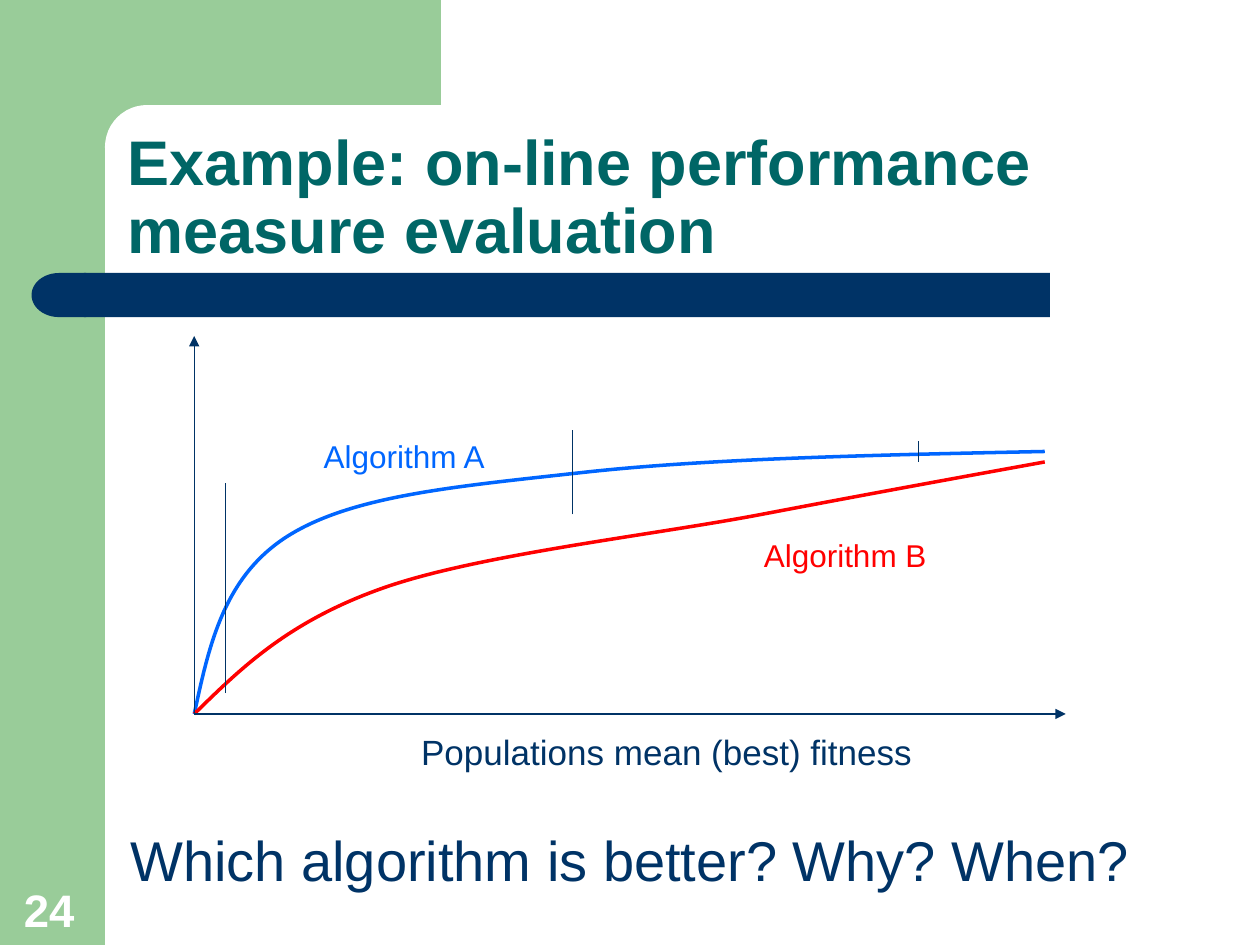
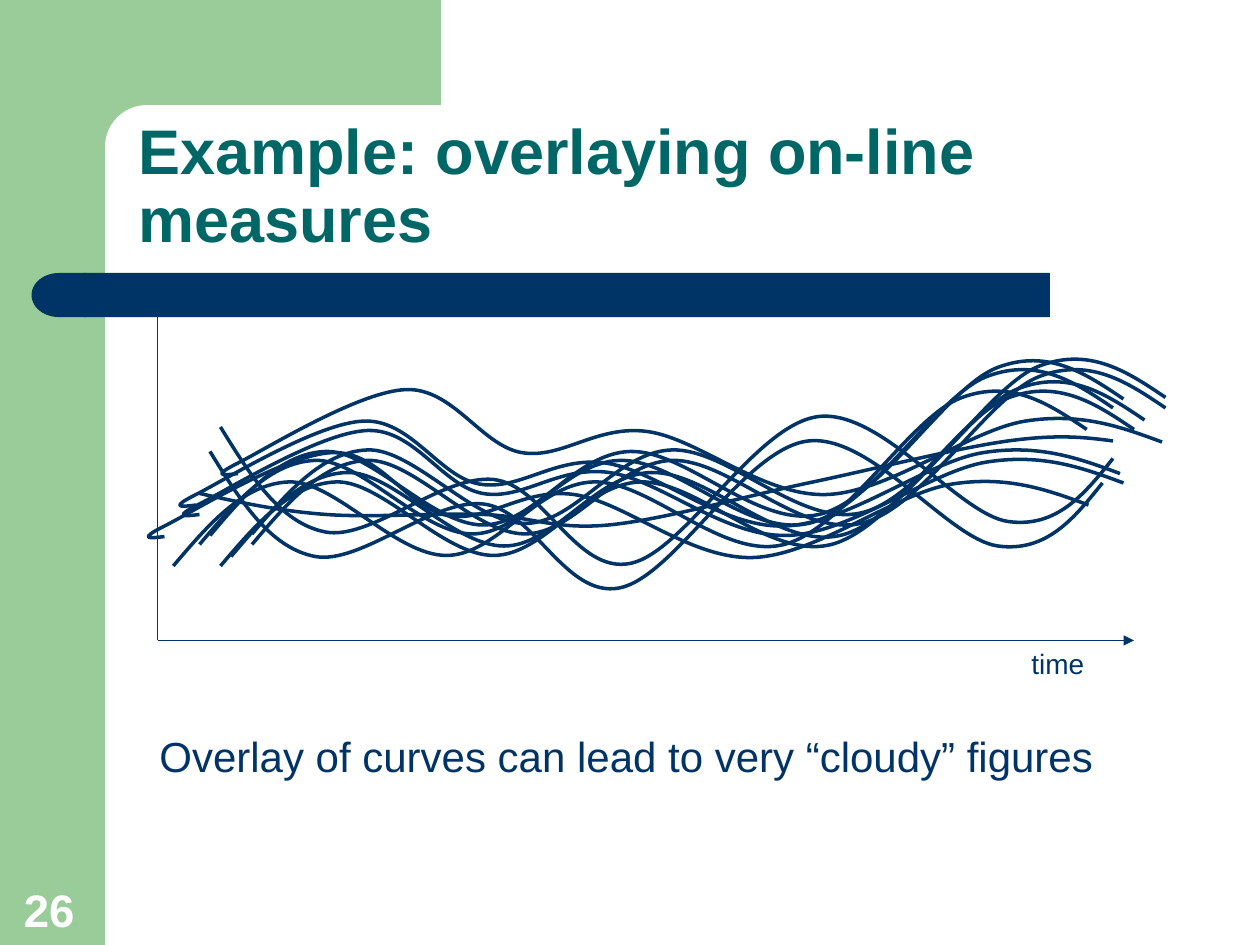
import dataclasses
import itertools

import pptx
import pptx.dml.color
import pptx.enum.shapes
import pptx.enum.text
import pptx.oxml
import pptx.oxml.ns
import pptx.util

RGBColor = pptx.dml.color.RGBColor
SHAPES = pptx.enum.shapes.MSO_SHAPE
ALIGN = pptx.enum.text.PP_ALIGN
ANCHOR = pptx.enum.text.MSO_ANCHOR

GREEN = RGBColor(0x99, 0xCC, 0x99)
TEAL = RGBColor(0x00, 0x66, 0x66)
NAVY = RGBColor(0x00, 0x33, 0x66)
BLUE = RGBColor(0x00, 0x66, 0xFF)
RED = RGBColor(0xFF, 0x00, 0x00)
WHITE = RGBColor(0xFF, 0xFF, 0xFF)

FONT = "Arial"
COLUMNS, ROWS = 120, 90
CELL = pptx.util.Inches(10) // COLUMNS
NAMESPACE = pptx.oxml.ns.nsdecls("a")

# Points are columns and rows from the top left of the plot.
ALGORITHM_A = [(0, 36), (9, 19), (37, 13), (81, 11)]
ALGORITHM_B = [(0, 36), (18, 24), (54, 17), (81, 12)]
GAP_MARKS = [(3, 14, 34), (36, 9, 17), (69, 10, 12)]

# Each family is one run, repeated at the given shifts.
RUN_FAMILIES = [
    ([(5, 14), (15, 24), (31, 19), (44, 27), (62, 13), (80, 23), (90, 17)],
     [(0, 0), (1, -2.33)]),
    ([(5, 22), (16, 14), (31, 21), (45, 14), (63, 20), (80, 6), (92, 9)],
     [(0, 0), (-1, 0.85), (1, 2.9), (4, -0.15), (2, 2), (-3.5, 2.9), (4, 0.85)]),
    ([(4, 18), (16, 20), (31, 20), (43, 21), (62, 17), (81, 13), (91, 13)],
     [(0, 0)]),
    ([(4, 20), (4, 19), (20, 12), (31, 18), (43, 16), (60, 22), (79, 15), (92, 17)],
     [(0, 0), (-0.33, -0.9), (3.67, -3.9), (-3.33, 2.1)]),
]


@dataclasses.dataclass
class Box:
    """A region in grid cells."""
    left: float
    top: float
    width: float
    height: float

    def inner(self, left, top, width, height):
        return Box(self.left + left, self.top + top, width, height)

    def point(self, x, y):
        return round((self.left + x) * CELL), round((self.top + y) * CELL)

    def frame(self):
        return (*self.point(0, 0), round(self.width * CELL), round(self.height * CELL))


PAGE = Box(0, 0, COLUMNS, ROWS)


def add_block(page, kind, box, color):
    block = page.shapes.add_shape(kind, *box.frame())
    block.shadow.inherit = False
    block.fill.solid()
    block.fill.fore_color.rgb = color
    block.line.fill.background()
    return block


def add_text(page, box, text, size, color=NAVY, bold=False, align=ALIGN.LEFT,
             anchor=ANCHOR.TOP, wrap=True):
    frame = page.shapes.add_textbox(*box.frame()).text_frame
    frame.word_wrap = wrap
    frame.vertical_anchor = anchor
    frame.text = text
    para = frame.paragraphs[0]
    para.alignment = align
    font = para.runs[0].font
    font.name, font.size, font.bold = FONT, pptx.util.Pt(size), bold
    font.color.rgb = color
    return para


def add_line(page, box, start, end, arrow=False):
    line = page.shapes.add_connector(
        pptx.enum.shapes.MSO_CONNECTOR.STRAIGHT, *box.point(*start), *box.point(*end))
    line.line.color.rgb = NAVY
    line.line.width = pptx.util.Pt(0.75)
    if arrow:
        line.line._get_or_add_ln().append(
            pptx.oxml.parse_xml(f'<a:tailEnd {NAMESPACE} type="triangle"/>'))
    line._element.spPr.append(pptx.oxml.parse_xml(f"<a:effectLst {NAMESPACE}/>"))


def smooth(knots):
    """The first knot, then two control points and a knot for each cubic segment."""
    def mix(weights, points):
        return tuple(sum(w * v for w, v in zip(weights, axis)) for axis in zip(*points))

    last = len(knots) - 1
    slopes = {i: mix((-1 / 6, 1 / 6), (knots[i - 1], knots[i + 1])) for i in range(1, last)}
    points = [knots[0]]
    for i, (start, end) in enumerate(itertools.pairwise(knots)):
        leave = mix((1, 1), (start, slopes[i])) if i else None
        arrive = mix((1, -1), (end, slopes[i + 1])) if i + 1 < last else None
        leave = leave or mix((0.5, 0.5), (start, arrive))
        arrive = arrive or mix((0.5, 0.5), (end, leave))
        points += [leave, arrive, end]
    return points


def add_curve(page, box, knots, color):
    first, *rest = [box.point(*point) for point in smooth(knots)]
    builder = page.shapes.build_freeform(*first)
    builder.add_line_segments(rest, close=False)
    curve = builder.convert_to_shape()
    segments = list(curve._element.iter(pptx.oxml.ns.qn("a:lnTo")))
    for i in range(0, len(segments), 3):
        cubic = pptx.oxml.parse_xml(f"<a:cubicBezTo {NAMESPACE}/>")
        segments[i].addprevious(cubic)
        for segment in segments[i:i + 3]:
            cubic.append(segment[0])
            segment.getparent().remove(segment)
    curve.shadow.inherit = False
    curve.fill.background()
    curve.line.color.rgb = color
    curve.line.width = pptx.util.Pt(2)


def add_axes(page, box):
    origin = (0, box.height)
    add_line(page, box, origin, (box.width, box.height), arrow=True)
    add_line(page, box, origin, (0, 0), arrow=True)


def add_base(deck, box, title, title_corner, number):
    """A new page with the shared bands, title and number."""
    page = deck.slides.add_slide(deck.slide_layouts[6])
    add_block(page, SHAPES.RECTANGLE, box.inner(0, 0, 10, box.height), GREEN)
    add_block(page, SHAPES.RECTANGLE, box.inner(9, 0, 33, 14), GREEN)
    corner = add_block(page, SHAPES.ROUNDED_RECTANGLE, box.inner(10, 10, 67, 8), WHITE)
    corner.adjustments[0] = 0.5
    add_block(page, SHAPES.RECTANGLE, box.inner(8, 26, 92, 4.2), NAVY)
    cap = add_block(page, SHAPES.FLOWCHART_DELAY, box.inner(3, 26, 5.2, 4.2), NAVY)
    cap.rotation = 180
    add_text(page, box.inner(1.1, 83.3, 7.7, 6.5), number, 26, WHITE, bold=True,
             anchor=ANCHOR.BOTTOM)
    heading = add_text(page, box.inner(*title_corner, 105, 15), title, 36, TEAL, bold=True,
                       anchor=ANCHOR.BOTTOM)
    heading.line_spacing = 0.9
    return page


def add_comparison_plot(page, box):
    add_curve(page, box, ALGORITHM_A, BLUE)
    add_curve(page, box, ALGORITHM_B, RED)
    add_axes(page, box)
    for x, top, bottom in GAP_MARKS:
        add_line(page, box, (x, bottom), (x, top))
    for text, corner, color in [("Algorithm A", (11, 9), BLUE),
                                ("Algorithm B", (53, 18.5), RED)]:
        add_text(page, box.inner(*corner, 18, 4.8), text, 18, color,
                 align=ALIGN.CENTER, wrap=False)


def add_overlay_plot(page, box):
    add_axes(page, box)
    add_text(page, box.inner(82, box.height, 7.5, 4.5), "time", 16,
             align=ALIGN.CENTER, wrap=False)
    for knots, shifts in RUN_FAMILIES:
        for right, down in shifts:
            add_curve(page, box.inner(right, down, box.width, box.height), knots, NAVY)


def build_comparison(deck, box):
    page = add_base(deck, box, "Example: on-line performance measure evaluation",
                    (11, 11), "24")
    caption = add_text(page, box.inner(11, 69, 105, 6.4), "Populations mean (best) fitness",
                       20, align=ALIGN.CENTER)
    caption.space_before = pptx.util.Pt(5)
    add_text(page, box.inner(11.2, 78, 97.7, 7.7), "Which algorithm is better? Why? When?",
             32, align=ALIGN.CENTER, wrap=False)
    add_comparison_plot(page, box.inner(18.5, 32, 83, 36))


def build_overlay(deck, box):
    page = add_base(deck, box, "Example: overlaying on-line measures", (12, 10), "26")
    add_overlay_plot(page, box.inner(15, 29, 93, 32))
    add_text(page, box.inner(14, 69, 92.5, 6),
             "Overlay of curves can lead to very “cloudy” figures", 24)


def main():
    deck = pptx.Presentation()
    deck.slide_width, deck.slide_height = COLUMNS * CELL, ROWS * CELL
    build_comparison(deck, PAGE)
    build_overlay(deck, PAGE)
    deck.save("out.pptx")


if __name__ == "__main__":
    main()
